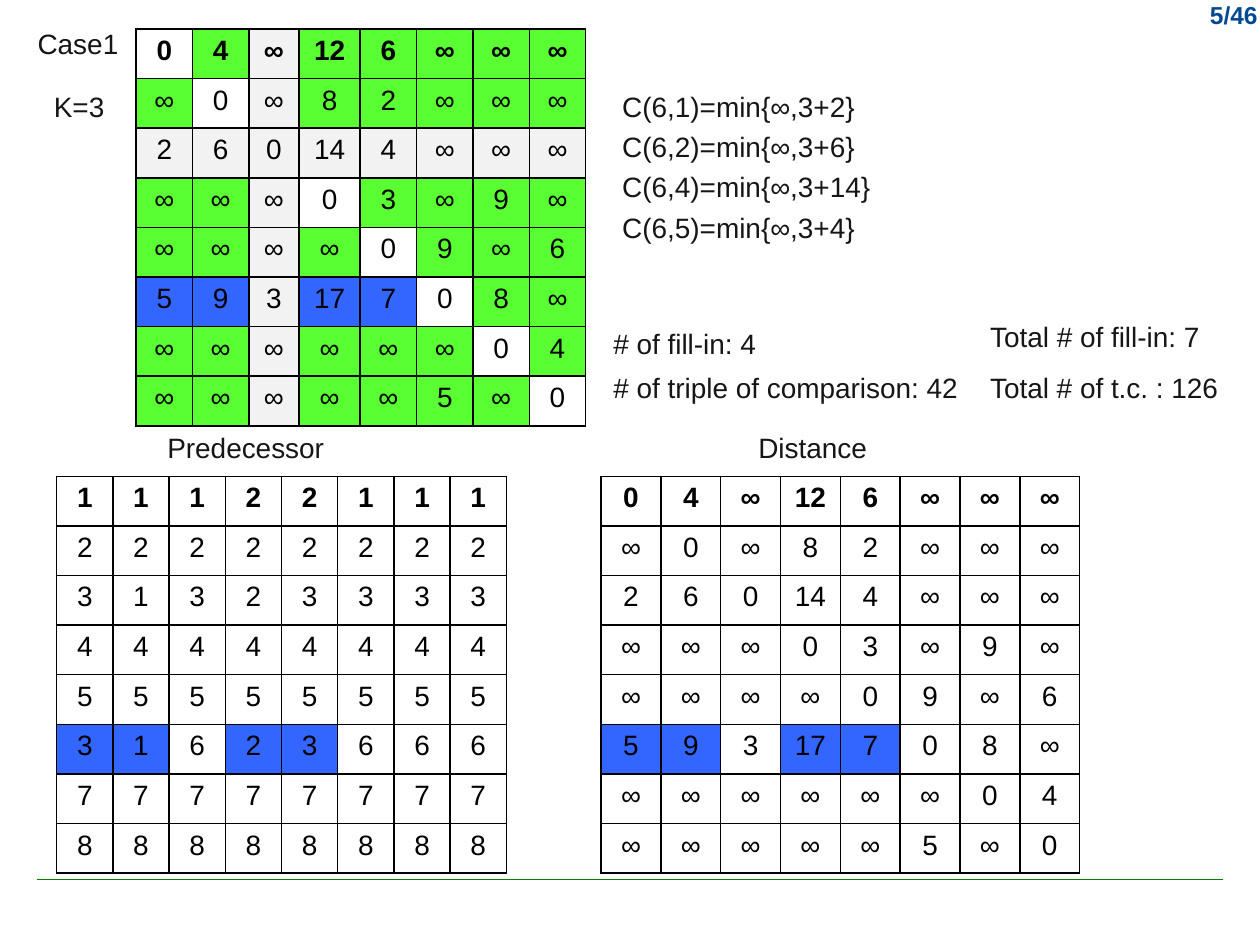
from dataclasses import dataclass

from lxml import etree
from pptx import Presentation
from pptx.dml.color import RGBColor
from pptx.enum.shapes import MSO_CONNECTOR, MSO_SHAPE
from pptx.enum.text import MSO_AUTO_SIZE, PP_ALIGN
from pptx.oxml.ns import qn
from pptx.util import Inches, Pt

STRAIGHT = MSO_CONNECTOR.STRAIGHT
RECTANGLE = MSO_SHAPE.RECTANGLE
FIT_SHAPE = MSO_AUTO_SIZE.SHAPE_TO_FIT_TEXT
LEFT, CENTER, RIGHT = PP_ALIGN.LEFT, PP_ALIGN.CENTER, PP_ALIGN.RIGHT


@dataclass(frozen=True)
class Theme:
    font: str = "Arial"
    body_size: int = 16
    page_size: int = 14
    text: str = "161616"
    page: str = "004992"
    rule: str = "008000"
    grid: str = "000000"
    plain: str = "FFFFFF"
    pivot: str = "F2F2F2"
    checked: str = "59FF32"
    updated: str = "3366FF"


class SlideBuilder:
    def __init__(self, slide, theme):
        self.slide = slide
        self.theme = theme

    def style(self, paragraph, color, size=None, bold=False, align=LEFT):
        paragraph.alignment = align
        for run in paragraph.runs:
            run.font.name = self.theme.font
            run.font.size = Pt(size or self.theme.body_size)
            run.font.bold = bold
            run.font.color.rgb = RGBColor.from_string(color)

    def rule(self, left, right, top):
        line = self.slide.shapes.add_connector(
            STRAIGHT, Inches(left), Inches(top), Inches(right), Inches(top))
        line.line.color.rgb = RGBColor.from_string(self.theme.rule)
        line.line.width = Pt(1)
        etree.SubElement(line._element.spPr, qn("a:effectLst"))

    def band(self, left, top, width, height):
        shape = self.slide.shapes.add_shape(
            RECTANGLE, Inches(left), Inches(top), Inches(width), Inches(height))
        shape.shadow.inherit = False
        white = RGBColor.from_string(self.theme.plain)
        shape.fill.solid()
        shape.fill.fore_color.rgb = white
        shape.line.color.rgb = white
        shape.line.width = Pt(2)

    def label(self, text, left, top, width, height=0.37, wrap=False,
              color=None, **style):
        box = self.slide.shapes.add_textbox(
            Inches(left), Inches(top), Inches(width), Inches(height))
        text_frame = box.text_frame
        text_frame.text = text
        text_frame.word_wrap = wrap
        text_frame.auto_size = FIT_SHAPE
        self.style(text_frame.paragraphs[0], color or self.theme.text, **style)

    def border(self, cell):
        properties = cell._tc.get_or_add_tcPr()
        for side in ("lnL", "lnR", "lnT", "lnB"):
            line = etree.SubElement(properties, qn(f"a:{side}"), w=str(Pt(1)))
            fill = etree.SubElement(line, qn("a:solidFill"))
            etree.SubElement(fill, qn("a:srgbClr"), val=self.theme.grid)

    def matrix(self, values, left, top, width, height, fill_of, shares=None):
        shares = shares or [1] * len(values[0])
        table = self.slide.shapes.add_table(
            len(values), len(shares), Inches(left), Inches(top),
            Inches(width), Inches(height)).table
        table.first_row = False
        table.horz_banding = False
        for column, share in zip(table.columns, shares):
            column.width = Inches(width * share / sum(shares))
        for row_index, row in enumerate(values):
            table.rows[row_index].height = Inches(height / len(values))
            for column_index, value in enumerate(row):
                cell = table.cell(row_index, column_index)
                cell.text = value
                self.style(cell.text_frame.paragraphs[0], self.theme.grid,
                           bold=row_index == 0, align=CENTER)
                self.border(cell)
                cell.fill.solid()
                cell.fill.fore_color.rgb = RGBColor.from_string(
                    fill_of(row_index, column_index))


THEME = Theme()
PIVOT = 2  # zero-based index of K=3
UPDATED = {(5, column) for column in (0, 1, 3, 4)}

DISTANCES = [row.split() for row in (
    "0 4 ∞ 12 6 ∞ ∞ ∞",
    "∞ 0 ∞ 8 2 ∞ ∞ ∞",
    "2 6 0 14 4 ∞ ∞ ∞",
    "∞ ∞ ∞ 0 3 ∞ 9 ∞",
    "∞ ∞ ∞ ∞ 0 9 ∞ 6",
    "5 9 3 17 7 0 8 ∞",
    "∞ ∞ ∞ ∞ ∞ ∞ 0 4",
    "∞ ∞ ∞ ∞ ∞ 5 ∞ 0",
)]
PREDECESSORS = [list(row) for row in (
    "11122111", "22222222", "31323333", "44444444",
    "55555555", "31623666", "77777777", "88888888",
)]


def result_fill(row, column):
    return THEME.updated if (row, column) in UPDATED else THEME.plain


def case_fill(row, column):
    if (row, column) in UPDATED:
        return THEME.updated
    if PIVOT in (row, column):
        return THEME.pivot
    return THEME.plain if row == column else THEME.checked


def main():
    presentation = Presentation()
    presentation.slide_width = Inches(10)
    presentation.slide_height = Inches(7.5)
    slide = presentation.slides.add_slide(presentation.slide_layouts[6])
    builder = SlideBuilder(slide, THEME)

    # Page furniture
    builder.rule(0.29, 9.71, 6.98)
    builder.label("5/46", 9.17, -0.05, 0.91, 0.33, wrap=True, color=THEME.page,
                  size=THEME.page_size, bold=True, align=RIGHT)
    builder.band(0.2, 0.52, 9.61, 1.1)

    # Cost matrix for the current pivot
    builder.matrix(DISTANCES, 1.08, 0.23, 3.57, 3.15, case_fill,
                   shares=[0.45, 0.45, 0.4, 0.49, 0.45, 0.45, 0.45, 0.45])
    builder.label("Case1", 0.2, 0.16, 0.85)
    builder.label("K=3", 0.33, 0.66, 0.6)

    # Predecessor and distance matrices
    builder.matrix(PREDECESSORS, 0.45, 3.78, 3.57, 3.15, result_fill)
    builder.matrix(DISTANCES, 4.77, 3.78, 3.8, 3.15, result_fill)
    builder.label("Predecessor", 1.23, 3.37, 1.46)
    builder.label("Distance", 5.92, 3.37, 1.07)

    # Updates made through the pivot
    for index, (target, cost) in enumerate([(1, 2), (2, 6), (4, 14), (5, 4)]):
        builder.label(f"C(6,{target})=min{{∞,3+{cost}}}",
                      4.84, 0.66 + 0.32 * index, 2.33, wrap=True)

    # Counts for this step and in total
    builder.label("# of fill-in: 4", 4.77, 2.54, 1.36)
    builder.label("# of triple of comparison: 42", 4.77, 2.89, 2.97)
    builder.label("Total # of fill-in: 7", 7.76, 2.49, 1.88)
    builder.label("Total # of t.c. : 126", 7.76, 2.89, 2.04)

    presentation.save("out.pptx")


if __name__ == "__main__":
    main()
